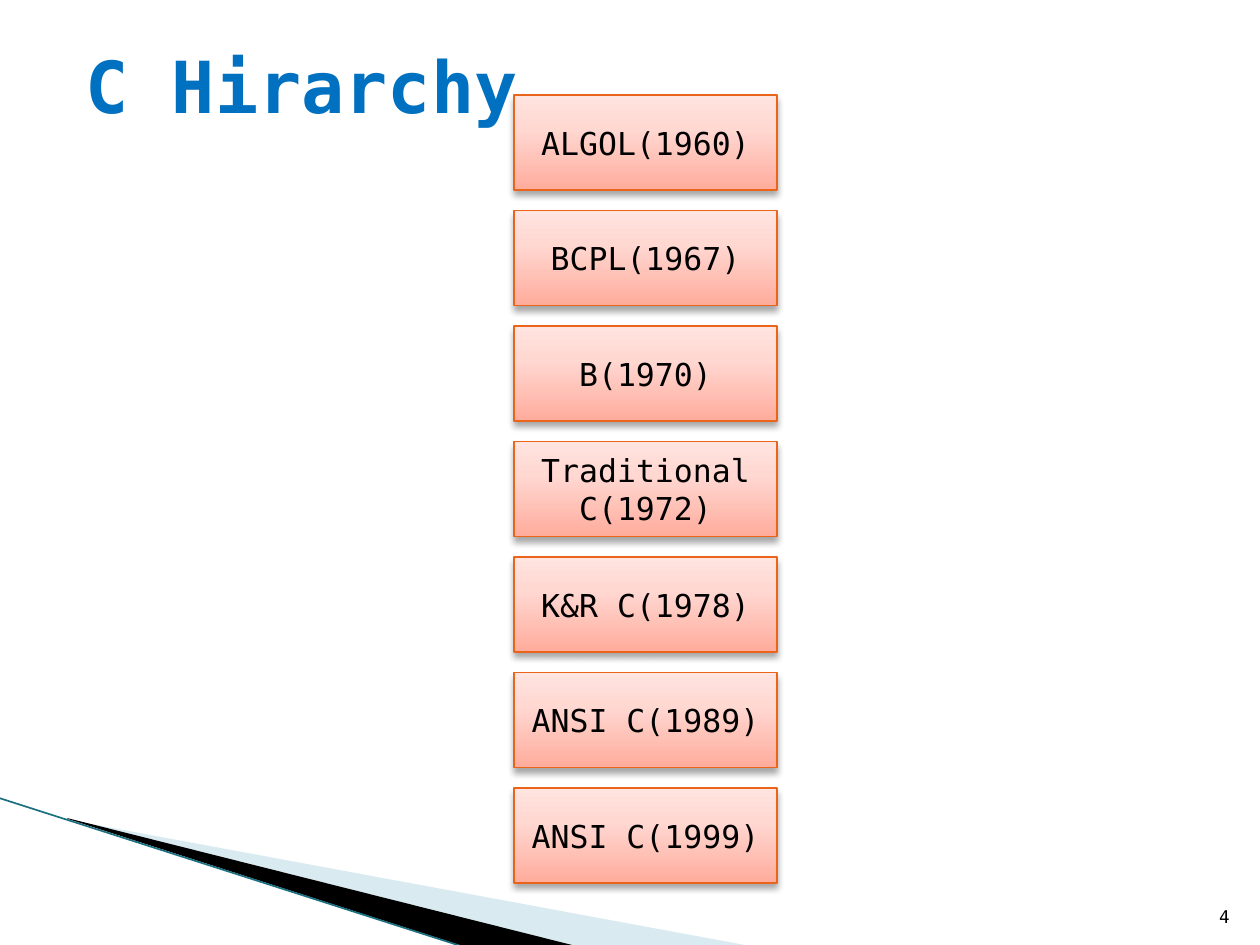
from copy import deepcopy

from lxml import etree
from pptx import Presentation
from pptx import util as u
from pptx.dml.color import RGBColor
from pptx.enum import shapes, text
from pptx.oxml.ns import qn

PX = 914400 / 126
FONT = "DejaVu Sans Mono"
BLACK = RGBColor(0x00, 0x00, 0x00)
TITLE_BLUE = RGBColor(0x00, 0x70, 0xC0)
PALE_BLUE = RGBColor(0xA0, 0xCB, 0xDC)
TEAL = RGBColor(0x1B, 0x70, 0x80)
ORANGE = RGBColor(0xEB, 0x64, 0x1B)
BOX_STOPS = (
    (0, RGBColor(0xFF, 0xAC, 0x9C)),
    (0.65, RGBColor(0xFF, 0xD8, 0xD2)),
    (1, RGBColor(0xFF, 0xE4, 0xDF)),
)
VERSIONS = (
    "ALGOL(1960)",
    "BCPL(1967)",
    "B(1970)",
    "Traditional C(1972)",
    "K&R C(1978)",
    "ANSI C(1989)",
    "ANSI C(1999)",
)
FIRST_TOP, LAST_TOP = 95, 788


def px(*lengths):
    return [u.Emu(round(length * PX)) for length in lengths]


def write(shape, words, size, color=BLACK, bold=False,
          align=text.PP_ALIGN.LEFT, anchor=text.MSO_ANCHOR.MIDDLE):
    frame = shape.text_frame
    frame.word_wrap = True
    frame.auto_size = text.MSO_AUTO_SIZE.NONE
    frame.vertical_anchor = anchor
    paragraph = frame.paragraphs[0]
    paragraph.alignment = align
    run = paragraph.add_run()
    run.text = words
    run.font.name = FONT
    run.font.size = u.Pt(size)
    run.font.bold = bold
    run.font.color.rgb = color


def add_wedge(slide, points, color, opacity=100):
    builder = slide.shapes.build_freeform(*points[0], scale=PX)
    builder.add_line_segments(points[1:], close=True)
    wedge = builder.convert_to_shape()
    wedge.shadow.inherit = False
    wedge.fill.solid()
    wedge.fill.fore_color.rgb = color
    wedge.line.fill.background()
    if opacity < 100:
        tint = wedge._element.spPr.find(".//" + qn("a:srgbClr"))
        etree.SubElement(tint, qn("a:alpha"), val=str(opacity * 1000))


def add_edge(slide, start, end):
    edge = slide.shapes.add_connector(
        shapes.MSO_CONNECTOR.STRAIGHT, *px(*start, *end))
    edge.line.color.rgb = TEAL
    edge.line.width = u.Pt(0.95)
    etree.SubElement(edge._element.spPr, qn("a:effectLst"))


def fill_gradient(shape):
    shape.fill.gradient()
    shape.fill.gradient_angle = 90
    stop_list = shape._element.spPr.find(".//" + qn("a:gsLst"))
    stop_list.append(deepcopy(stop_list[0]))
    for stop, (position, color) in zip(shape.fill.gradient_stops, BOX_STOPS):
        stop.position = position
        stop.color.rgb = color


def drop_shadow(shape):
    shape.shadow.inherit = False
    effects = shape._element.spPr.find(qn("a:effectLst"))
    shadow = etree.SubElement(
        effects, qn("a:outerShdw"), blurRad=str(u.Pt(4)), dist=str(u.Pt(3)),
        dir="5400000", rotWithShape="0")
    shade = etree.SubElement(shadow, qn("a:srgbClr"), val=str(BLACK))
    etree.SubElement(shade, qn("a:alpha"), val="35000")


def add_version(slide, words, top):
    box = slide.shapes.add_shape(
        shapes.MSO_SHAPE.RECTANGLE, *px(514, top, 263, 95))
    fill_gradient(box)
    box.line.color.rgb = ORANGE
    box.line.width = u.Pt(0.75)
    drop_shadow(box)
    write(box, words, 18, align=text.PP_ALIGN.CENTER)


def main():
    deck = Presentation()
    deck.slide_width, deck.slide_height = px(1260, 945)
    slide = deck.slides.add_slide(deck.slide_layouts[5])

    add_wedge(slide, [(69, 820), (750, 946), (575, 946), (69, 819)],
              PALE_BLUE, opacity=40)
    add_wedge(slide, [(67, 818), (576, 946), (469, 948), (68, 819)], BLACK)
    add_edge(slide, (-1, 798), (467, 948))

    title = slide.shapes.title
    title.left, title.top, title.width, title.height = px(73, 32, 1134, 105)
    write(title, "C Hirarchy", 41, color=TITLE_BLUE, bold=True)

    page_number = slide.shapes.add_textbox(*px(1192, 883, 50, 50))
    write(page_number, "4", 10, align=text.PP_ALIGN.RIGHT,
          anchor=text.MSO_ANCHOR.BOTTOM)

    pitch = (LAST_TOP - FIRST_TOP) / (len(VERSIONS) - 1)
    for row, version in enumerate(VERSIONS):
        add_version(slide, version, FIRST_TOP + row * pitch)

    deck.save("out.pptx")


if __name__ == "__main__":
    main()
